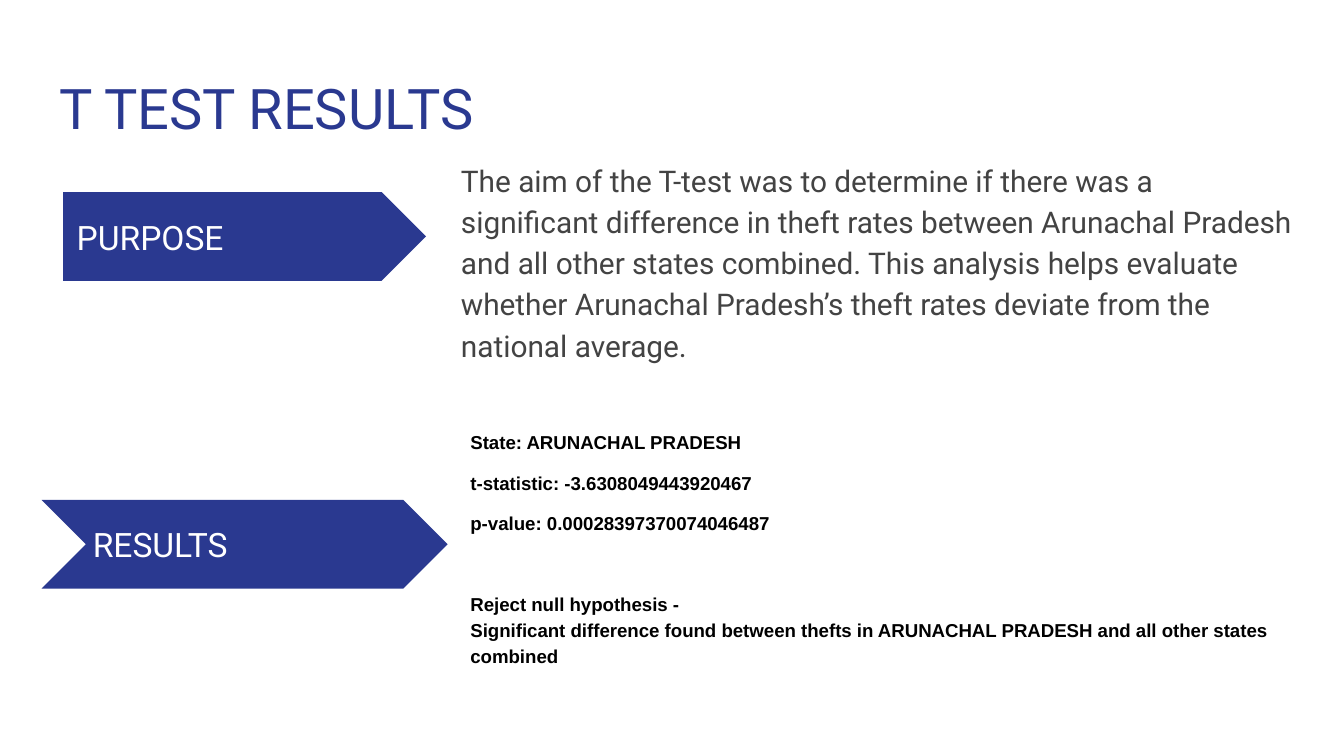
from dataclasses import dataclass

from lxml import etree
from pptx import Presentation
from pptx import util as u
from pptx.dml.color import RGBColor
from pptx.enum import shapes, text
from pptx.oxml.ns import qn
from pptx.shapes.base import BaseShape
from pptx.slide import Slide


@dataclass(frozen=True)
class TextStyle:
    size: float
    color: RGBColor
    font: str = "Roboto"
    bold: bool = False


@dataclass(frozen=True)
class Theme:
    navy: RGBColor = RGBColor(0x2A, 0x39, 0x90)
    title: TextStyle = TextStyle(30, RGBColor(0x2A, 0x39, 0x90))
    label: TextStyle = TextStyle(18, RGBColor(0xFF, 0xFF, 0xFF))
    purpose: TextStyle = TextStyle(16, RGBColor(0x43, 0x43, 0x43))
    results: TextStyle = TextStyle(10, RGBColor(0, 0, 0), "Arial", True)


@dataclass(frozen=True)
class Box:
    left: float
    top: float
    width: float
    height: float

    def lengths(self) -> tuple:
        return tuple(u.Inches(n) for n in (self.left, self.top, self.width, self.height))


@dataclass(frozen=True)
class Line:
    words: str
    space_before: float = 0
    space_after: float = 0


@dataclass(frozen=True)
class Section:
    label: str
    arrow_kind: shapes.MSO_SHAPE
    arrow: Box
    label_left: float
    detail: Box
    lines: tuple[Line, ...]
    style: TextStyle


THEME = Theme()
MIDDLE = text.MSO_ANCHOR.MIDDLE
LABEL_WIDTH, LABEL_HEIGHT = 2.47, 0.34
LINE_GAP = 8
CONCLUSION_GAP = 29.5

SECTIONS = (
    Section(
        "PURPOSE", shapes.MSO_SHAPE.PENTAGON, Box(0.47, 1.43, 2.7, 0.66), 0.47,
        Box(3.33, 1.07, 6.41, 1.68),
        (Line(
            "The aim of the T-test was to determine if there was a significant "
            "difference in theft rates between Arunachal Pradesh and all other "
            "states combined. This analysis helps evaluate whether Arunachal "
            "Pradesh’s theft rates deviate from the national average.",
            space_after=LINE_GAP),),
        THEME.purpose,
    ),
    Section(
        "RESULTS", shapes.MSO_SHAPE.CHEVRON, Box(0.31, 3.72, 3.02, 0.66), 0.59,
        Box(3.4, 3.08, 6.41, 1.68),
        (
            Line("State: ARUNACHAL PRADESH"),
            Line("t-statistic: -3.6308049443920467", LINE_GAP),
            Line("p-value: 0.00028397370074046487", LINE_GAP),
            Line("Reject null hypothesis -", CONCLUSION_GAP),
            Line("Significant difference found between thefts in ARUNACHAL "
                 "PRADESH and all other states combined"),
        ),
        THEME.results,
    ),
)


def fill_placeholder(shape: BaseShape, box: Box, lines: tuple[Line, ...],
                     style: TextStyle, spacing: float = 1.0,
                     anchor: text.MSO_ANCHOR = text.MSO_ANCHOR.TOP) -> None:
    """Place a placeholder and give it unbulleted, left-aligned lines."""
    shape.left, shape.top, shape.width, shape.height = box.lengths()
    frame = shape.text_frame
    frame.word_wrap = True
    frame.auto_size = text.MSO_AUTO_SIZE.NONE
    frame.vertical_anchor = anchor
    frame.margin_left = frame.margin_right = u.Inches(0.1)
    frame.margin_top = frame.margin_bottom = u.Inches(0.1)
    for index, line in enumerate(lines):
        paragraph = frame.add_paragraph() if index else frame.paragraphs[0]
        properties = paragraph._p.get_or_add_pPr()
        properties.set("marL", "0")
        properties.set("indent", "0")
        etree.SubElement(properties, qn("a:buNone"))
        paragraph.alignment = text.PP_ALIGN.LEFT
        paragraph.line_spacing = spacing
        paragraph.space_before = u.Pt(line.space_before)
        paragraph.space_after = u.Pt(line.space_after)
        run = paragraph.add_run()
        run.text = line.words
        run.font.name = style.font
        run.font.size = u.Pt(style.size)
        run.font.bold = style.bold
        run.font.color.rgb = style.color


def draw_section(slide: Slide, section: Section, label: BaseShape, detail: BaseShape) -> None:
    arrow = slide.shapes.add_shape(section.arrow_kind, *section.arrow.lengths())
    arrow.shadow.inherit = False
    arrow.fill.solid()
    arrow.fill.fore_color.rgb = THEME.navy
    arrow.line.fill.background()
    label._element.addprevious(arrow._element)  # keep the arrow behind its label

    label_top = section.arrow.top + (section.arrow.height - LABEL_HEIGHT) / 2
    label_box = Box(section.label_left, label_top, LABEL_WIDTH, LABEL_HEIGHT)
    fill_placeholder(label, label_box, (Line(section.label),), THEME.label, anchor=MIDDLE)
    fill_placeholder(detail, section.detail, section.lines, section.style, spacing=1.15)


def main() -> None:
    presentation = Presentation()
    presentation.slide_width = u.Inches(10)
    presentation.slide_height = u.Inches(10 * 9 / 16)
    comparison_layout = presentation.slide_layouts[4]
    slide = presentation.slides.add_slide(comparison_layout)

    fill_placeholder(slide.shapes.title, Box(0.34, 0.45, 9.32, 0.66),
                     (Line("T TEST RESULTS"),), THEME.title)
    _, *bodies = slide.placeholders
    for section, label, detail in zip(SECTIONS, bodies[::2], bodies[1::2]):
        draw_section(slide, section, label, detail)
    presentation.save("out.pptx")


if __name__ == "__main__":
    main()
